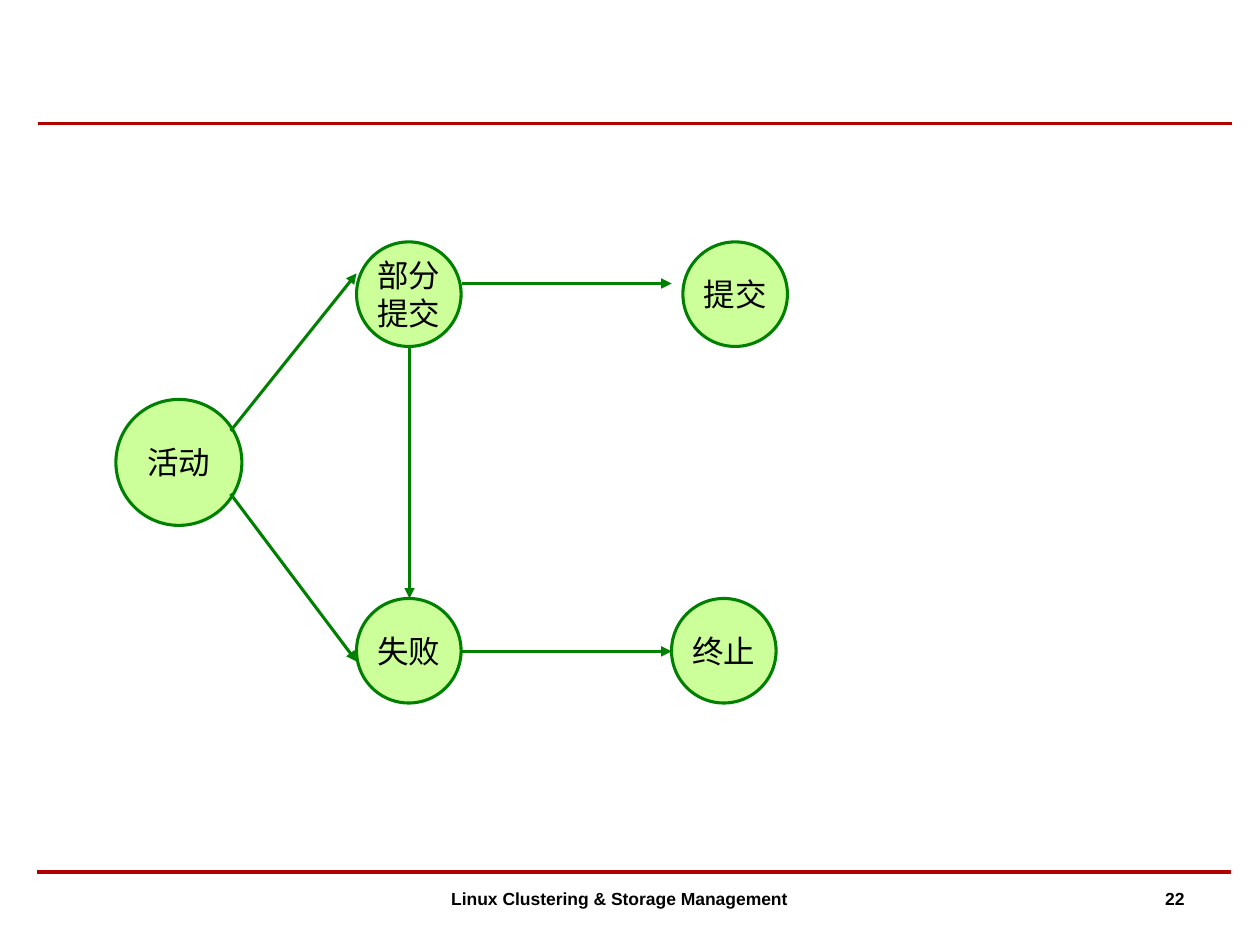
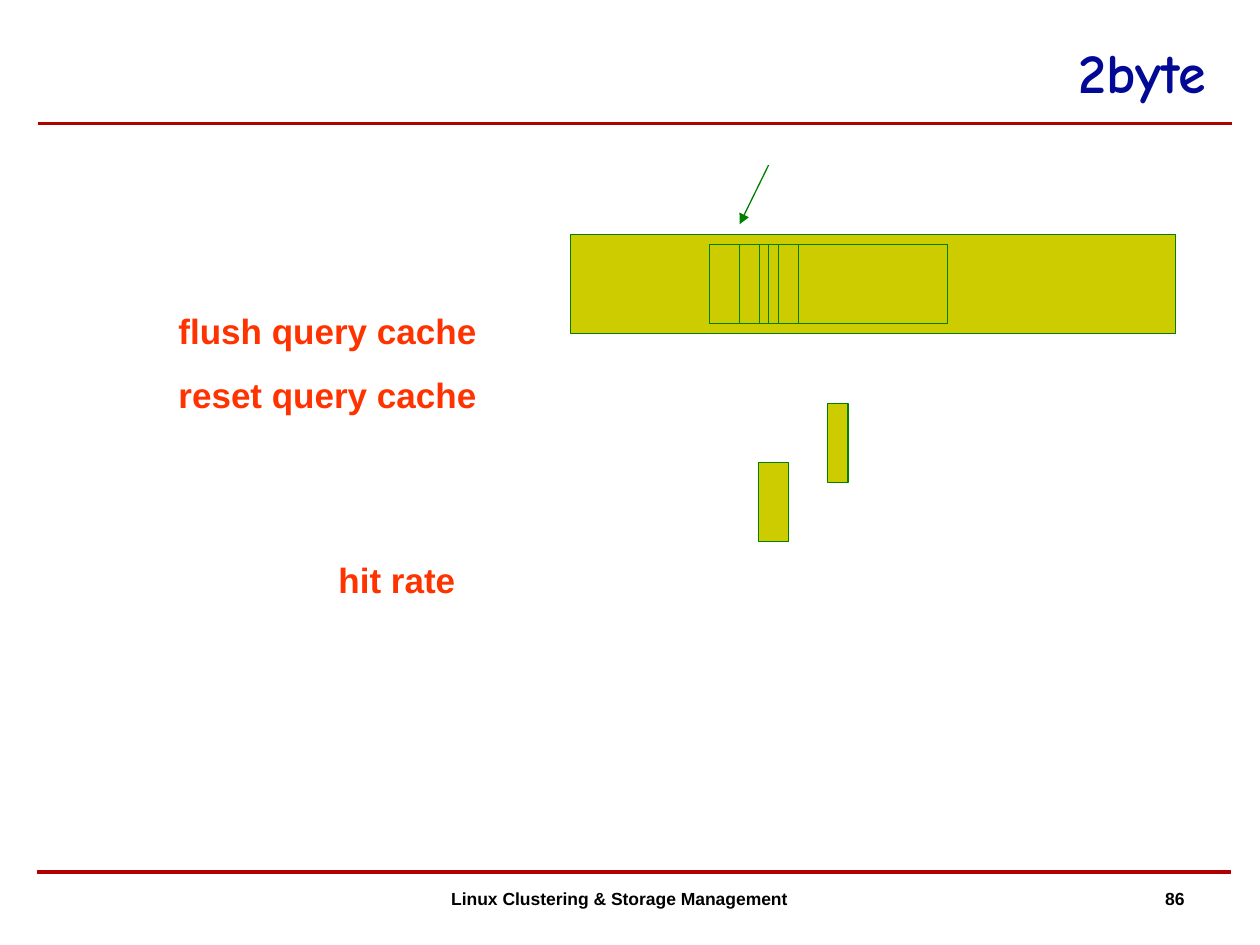
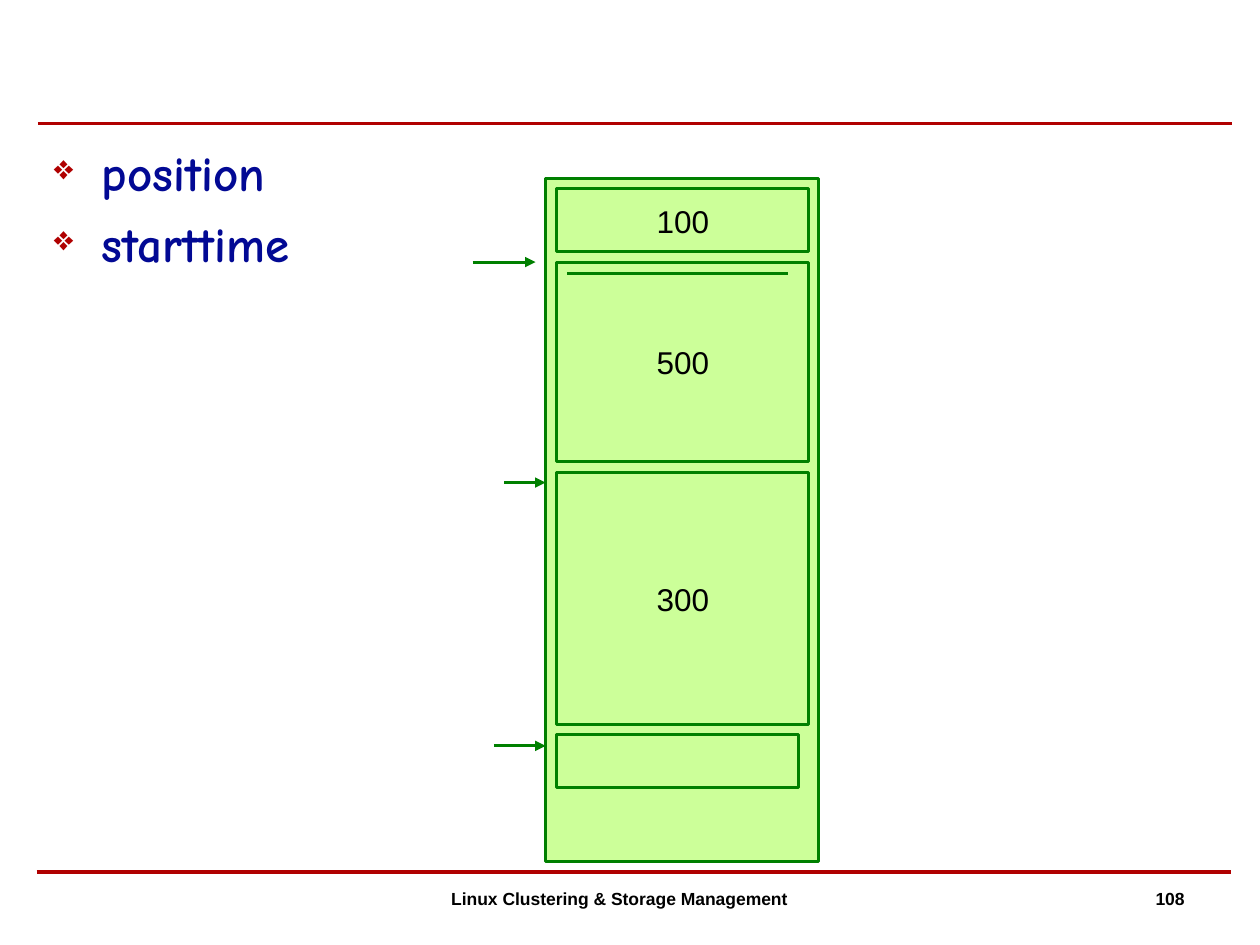
from lxml.etree import SubElement
from pptx import Presentation
from pptx.dml.color import RGBColor
from pptx.enum.shapes import MSO_CONNECTOR, MSO_SHAPE
from pptx.enum.text import MSO_ANCHOR, PP_ALIGN
from pptx.oxml.ns import qn
from pptx.util import Inches, Pt

RED = "B00000"
GREEN = "008000"
LIGHT_GREEN = "CCFF99"
OLIVE = "CCCC00"
NAVY = "020994"
ORANGE = "FF3300"
BLACK = "000000"
color = RGBColor.from_string


def add_box(slide, preset, left, top, width, height, lines=(), fill=LIGHT_GREEN,
            weight=1.75, size=18, font="Arial", ink=BLACK, bold=False,
            align=PP_ALIGN.CENTER, anchor=MSO_ANCHOR.MIDDLE, gap=0):
    """Add an outlined preset shape, or a plain text box when preset is None."""
    place = [Inches(length) for length in (left, top, width, height)]
    if preset is None:
        shape = slide.shapes.add_textbox(*place)
    else:
        shape = slide.shapes.add_shape(preset, *place)
        shape.shadow.inherit = False
        shape.fill.solid()
        shape.fill.fore_color.rgb = color(fill)
        shape.line.color.rgb = color(GREEN)
        shape.line.width = Pt(weight)
    frame = shape.text_frame
    frame.word_wrap = preset is None
    frame.vertical_anchor = anchor
    frame.text = "\n".join(lines)
    for index, paragraph in enumerate(frame.paragraphs):
        paragraph.alignment = align
        if index:
            paragraph.space_before = Pt(gap)
        for run in paragraph.runs:
            run.font.name = font
            run.font.size = Pt(size)
            run.font.bold = bold
            run.font.color.rgb = color(ink)
    return shape


def add_line(slide, x1, y1, x2, y2, ink=GREEN, weight=1.75, arrow=True):
    connector = slide.shapes.add_connector(
        MSO_CONNECTOR.STRAIGHT, Inches(x1), Inches(y1), Inches(x2), Inches(y2))
    connector.line.color.rgb = color(ink)
    connector.line.width = Pt(weight)
    if arrow:
        SubElement(connector.line._get_or_add_ln(), qn("a:tailEnd"), type="triangle")
    SubElement(connector._element.spPr, qn("a:effectLst"))


presentation = Presentation()
presentation.slide_width = Inches(10)
presentation.slide_height = Inches(7.5)

# Shared rules and footer
slides = []
for number in (22, 86, 108):
    slide = presentation.slides.add_slide(presentation.slide_layouts[6])
    add_line(slide, 0.29, 6.92, 9.77, 6.92, RED, 2, arrow=False)
    add_line(slide, 0.3, 0.98, 9.78, 0.98, RED, 2, arrow=False)
    add_box(slide, None, 3.33, 7, 3.17, 0.5, ["Linux Clustering & Storage Management"],
            size=10, bold=True, anchor=MSO_ANCHOR.TOP)
    add_box(slide, None, 7.17, 7, 2.33, 0.46, [str(number)], size=10, bold=True,
            align=PP_ALIGN.RIGHT, anchor=MSO_ANCHOR.TOP)
    slides.append(slide)
states_slide, cache_slide, log_slide = slides

# Transaction states
for left, top, diameter, *label in (
    (0.92, 3.17, 1, "活动"),
    (2.83, 1.92, 0.83, "部分", "提交"),
    (2.83, 4.75, 0.83, "失败"),
    (5.42, 1.92, 0.83, "提交"),
    (5.33, 4.75, 0.83, "终止"),
):
    add_box(states_slide, MSO_SHAPE.OVAL, left, top, diameter, diameter, label)
for transition in (
    (1.83, 3.42, 2.83, 2.17),
    (1.83, 3.92, 2.83, 5.25),
    (3.67, 2.25, 5.33, 2.25),
    (3.25, 2.75, 3.25, 4.75),
    (3.67, 5.17, 5.33, 5.17),
):
    add_line(states_slide, *transition)

# Query cache memory
add_box(cache_slide, None, 2.75, 0.25, 6.92, 0.63, ["2byte"], size=32,
        font="Comic Neue", ink=NAVY, bold=True, align=PP_ALIGN.RIGHT,
        anchor=MSO_ANCHOR.BOTTOM)
add_box(cache_slide, MSO_SHAPE.RECTANGLE, 4.53, 1.86, 4.8, 0.79, fill=OLIVE, weight=0.75)
for left, top, width in (
    (5.63, 1.94, 1.89),
    (6.02, 1.94, 0.08),
    (6.02, 3.67, 0.24),
    (6.57, 3.2, 0.16),
    (5.87, 1.94, 0.16),
    (6.18, 1.94, 0.16),
):
    add_box(cache_slide, MSO_SHAPE.RECTANGLE, left, top, width, 0.63,
            fill=OLIVE, weight=0.75)
add_line(cache_slide, 6.1, 1.31, 5.87, 1.78, weight=0.75)
for left, top, width, *terms in (
    (0.83, 2.41, 3.54, "flush query cache", "reset query cache"),
    (1.85, 4.38, 2.6, "hit rate"),
):
    add_box(cache_slide, None, left, top, width, 0.94, terms, size=20, ink=ORANGE,
            bold=True, anchor=MSO_ANCHOR.TOP, gap=12.5)

# Log positions
bullets = add_box(log_slide, None, 0.33, 1.08, 9.42, 5.75, ["position", "starttime"],
                  size=28, font="Comic Neue", ink=NAVY, bold=True,
                  align=PP_ALIGN.LEFT, anchor=MSO_ANCHOR.TOP, gap=7)
for paragraph in bullets.text_frame.paragraphs:
    properties = paragraph._p.get_or_add_pPr()
    properties.set("marL", str(Inches(0.38)))
    properties.set("indent", str(-Inches(0.38)))
    bullet_color = SubElement(properties, qn("a:buClr"))
    SubElement(bullet_color, qn("a:srgbClr"), val=RED)
    SubElement(properties, qn("a:buSzPct"), val="70000")
    SubElement(properties, qn("a:buChar"), char="❖")

add_box(log_slide, MSO_SHAPE.RECTANGLE, 4.33, 1.42, 2.17, 5.42)
for top, width, height, *label in (
    (1.5, 2, 0.5, "100"),
    (2.08, 2, 1.58, "500"),
    (3.75, 2, 2, "300"),
    (5.83, 1.92, 0.42),
):
    add_box(log_slide, MSO_SHAPE.RECTANGLE, 4.42, top, width, height, label)
add_line(log_slide, 4.5, 2.17, 6.25, 2.17, arrow=False)
for start, end, y in ((3.75, 4.25, 2.08), (4, 4.33, 3.83), (3.92, 4.33, 5.92)):
    add_line(log_slide, start, y, end, y)

presentation.save("out.pptx")
